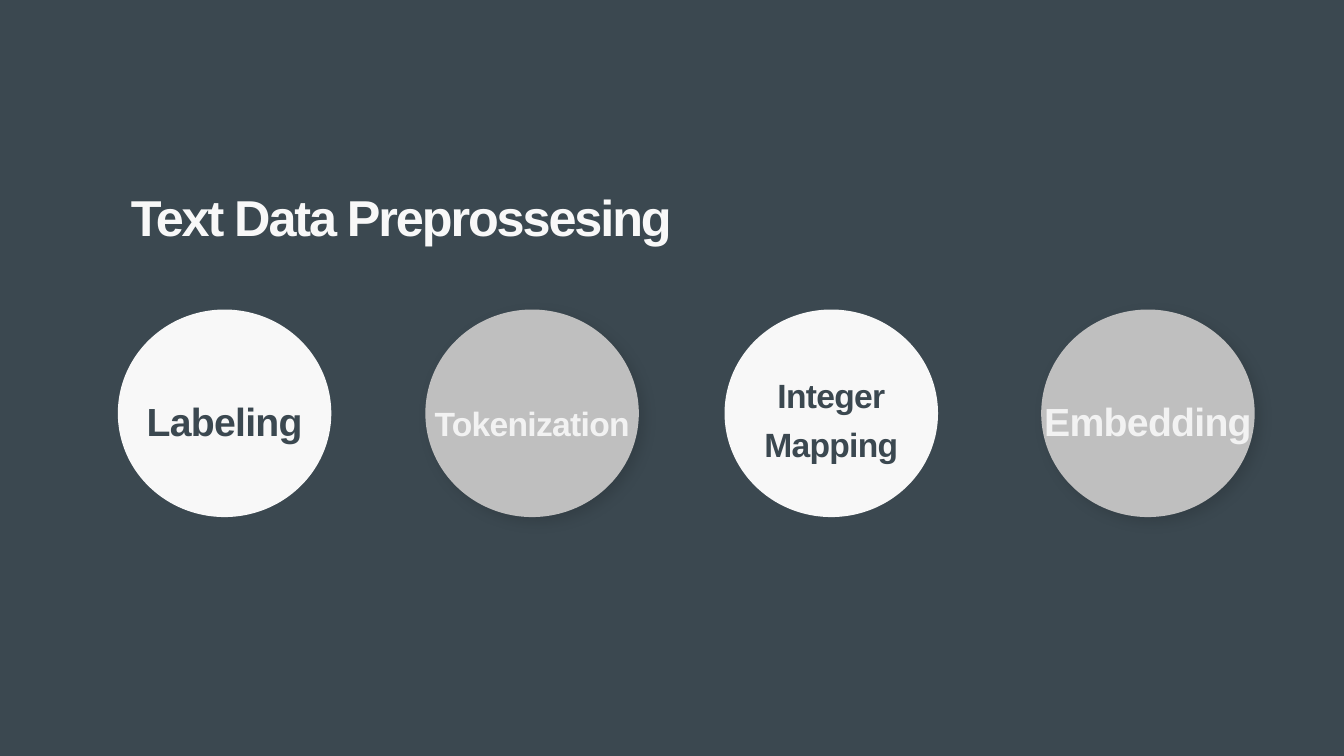
from dataclasses import dataclass

from lxml import etree
from pptx import Presentation
from pptx.dml.color import RGBColor
from pptx.enum.shapes import MSO_SHAPE
from pptx.enum.text import MSO_ANCHOR, MSO_AUTO_SIZE, PP_ALIGN
from pptx.oxml import parse_xml
from pptx.oxml.ns import nsdecls
from pptx.shapes.autoshape import Shape
from pptx.slide import Slide
from pptx.text.text import TextFrame
from pptx.util import Cm, Pt

DARK, LIGHT, GREY, PALE = "3B4850", "F8F8F8", "BFBFBF", "F2F2F2"
CIRCLE_TOP, CIRCLE_W, CIRCLE_H = 7.8, 5.38, 5.23


@dataclass
class Step:
    lines: list[str]
    left: float
    label_top: float
    label_height: float
    size: int
    raised: bool = False


STEPS = [
    Step(["Labeling"], 2.97, 9.78, 1.3, 28),
    Step(["Tokenization"], 10.72, 9.96, 1.12, 24, raised=True),
    Step(["Integer", "Mapping"], 18.26, 9.25, 2.34, 24),
    Step(["Embedding"], 26.24, 9.78, 1.3, 28, raised=True),
]


def rgb(value: str) -> RGBColor:
    return RGBColor.from_string(value)


def write(tf: TextFrame, lines: list[str], size: int, color: str,
          align: PP_ALIGN, spacing: float, line_spacing: float) -> None:
    tf.margin_left = tf.margin_right = tf.margin_top = tf.margin_bottom = 0
    tf.vertical_anchor = MSO_ANCHOR.TOP
    tf.auto_size = MSO_AUTO_SIZE.SHAPE_TO_FIT_TEXT
    for i, line in enumerate(lines):
        p = tf.paragraphs[0] if i == 0 else tf.add_paragraph()
        p.text = line
        p.alignment = align
        p.line_spacing = line_spacing
        p.font.name, p.font.size, p.font.bold = "Arial", Pt(size), True
        p.font.color.rgb = rgb(color)
        # Letter spacing in hundredths of a point
        p._p.get_or_add_pPr().get_or_add_defRPr().set("spc", str(round(spacing * 100)))


def add_shadow(sp: Shape) -> None:
    effects = sp._element.spPr.find(".//{*}effectLst")
    shadow = parse_xml(
        f'<a:outerShdw {nsdecls("a")} blurRad="{Pt(10)}" dist="{Pt(5)}" '
        'dir="2700000" algn="tl" rotWithShape="0"/>')
    color = etree.SubElement(shadow, shadow.tag.replace("outerShdw", "srgbClr"), val="000000")
    etree.SubElement(color, shadow.tag.replace("outerShdw", "alpha"), val="13000")
    effects.append(shadow)


def add_step(s: Slide, step: Step) -> None:
    sp = s.shapes.add_shape(MSO_SHAPE.OVAL, Cm(step.left), Cm(CIRCLE_TOP),
                            Cm(CIRCLE_W), Cm(CIRCLE_H))
    sp.fill.solid()
    sp.fill.fore_color.rgb = rgb(GREY if step.raised else LIGHT)
    sp.line.fill.background()
    sp.shadow.inherit = False
    if step.raised:
        add_shadow(sp)

    label = s.shapes.add_textbox(Cm(step.left), Cm(step.label_top),
                                 Cm(CIRCLE_W), Cm(step.label_height))
    label.text_frame.word_wrap = True
    write(label.text_frame, step.lines, step.size, PALE if step.raised else DARK,
          PP_ALIGN.CENTER, -0.5, 1.2)


def main() -> None:
    prs = Presentation()
    prs.slide_width, prs.slide_height = Cm(33.87), Cm(19.05)
    s = prs.slides.add_slide(prs.slide_layouts[5])
    s.background.fill.solid()
    s.background.fill.fore_color.rgb = rgb(DARK)

    # Title
    title = s.shapes.title
    title.left, title.top, title.width, title.height = Cm(3.3), Cm(4.7), Cm(13.72), Cm(1.55)
    title.text_frame.word_wrap = False
    write(title.text_frame, ["Text Data Preprossesing"], 36, LIGHT, PP_ALIGN.LEFT, -1.5, 1.0)

    # Preprocessing steps
    for step in STEPS:
        add_step(s, step)

    prs.save("out.pptx")


if __name__ == "__main__":
    main()
